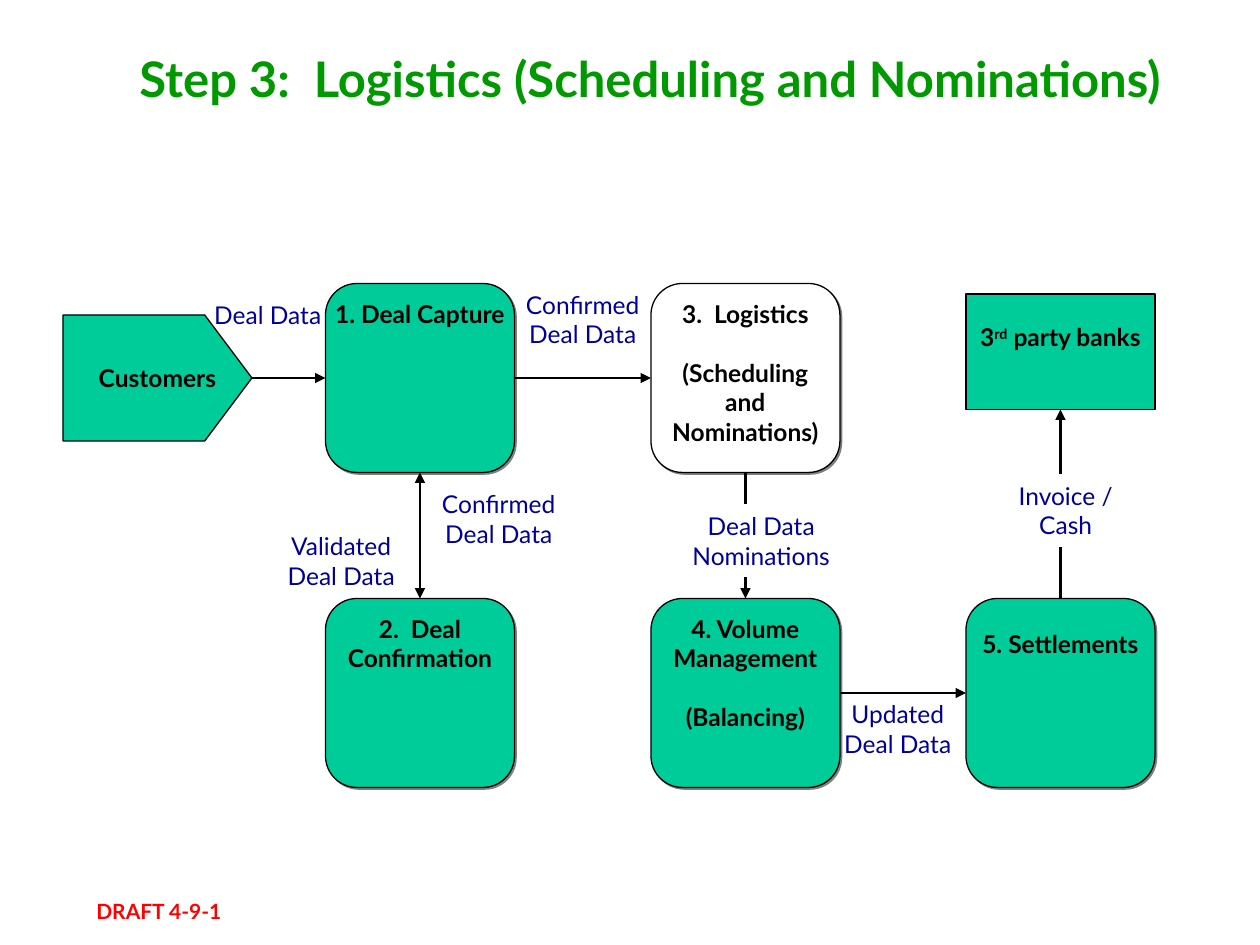
from lxml import etree
from pptx import Presentation
from pptx.dml.color import RGBColor
from pptx.enum.shapes import MSO_CONNECTOR, MSO_SHAPE
from pptx.enum.text import MSO_ANCHOR, PP_ALIGN
from pptx.oxml.ns import qn
from pptx.util import Inches, Pt

ROUNDED = MSO_SHAPE.FLOWCHART_ALTERNATE_PROCESS
PROCESS = MSO_SHAPE.FLOWCHART_PROCESS
RECTANGLE = MSO_SHAPE.RECTANGLE
STRAIGHT = MSO_CONNECTOR.STRAIGHT
TOP, MIDDLE = MSO_ANCHOR.TOP, MSO_ANCHOR.MIDDLE
CENTER, LEFT = PP_ALIGN.CENTER, PP_ALIGN.LEFT
SIDE = {"top": 0, "left": 1, "bottom": 2, "right": 3}

FONT = "Lato"
BLACK, WHITE, GREEN = "000000", "FFFFFF", "00CC99"
LINE_GAP = 16.8  # points, one line of 14 pt text
BOX = 18  # side of a process box, in grid units
COLUMNS = (31, 62, 92)
ROWS = (27, 57)

TITLE_FORMAT = {"name": FONT, "size": Pt(28), "bold": True}
BOX_FORMAT = {"name": FONT, "size": Pt(14), "bold": True}
LABEL_FORMAT = {"name": FONT, "size": Pt(14), "bold": False}
DRAFT_FORMAT = {"name": FONT, "size": Pt(12), "bold": True}

# name: column, row, fill, lines as (text, blank lines above), extra lines above all
PROCESSES = {
    "capture": (0, 0, GREEN, [("1. Deal Capture", 0)], 0),
    "confirmation": (0, 1, GREEN, [("2.  Deal", 0), ("Confirmation", 0)], 0),
    "logistics": (1, 0, WHITE, [("3.  Logistics", 0), ("(Scheduling", 1),
                                ("and", 0), ("Nominations)", 0)], 0),
    "volume": (1, 1, GREEN, [("4. Volume", 0), ("Management", 0),
                             ("(Balancing)", 1)], 0),
    "settlements": (2, 1, GREEN, [("5. Settlements", 0)], 0.5),
}

# text, left, top, width, height, fill, outline
BACK_LABELS = [
    ("Confirmed Deal Data", 48, 27, 15, 6.8, WHITE, None),
    ("Deal Data", 19, 28, 13, 6.8, None, None),
]
FRONT_LABELS = [
    ("Confirmed Deal Data", 40, 46, 15, 6.8, None, None),
    ("Updated Deal Data", 79, 66, 13, 9.6, None, None),
    ("Deal Data Nominations", 63, 48.1, 19, 6.8, WHITE, WHITE),
    ("Invoice / Cash", 95, 45.2, 13, 6.8, WHITE, WHITE),
    ("Validated Deal Data", 26, 50, 13, 9.6, None, None),
]

# start, its side, end, its side, arrowheads
FLOWS = [
    ("capture", "right", "logistics", "left", ["tailEnd"]),
    ("volume", "right", "settlements", "left", ["tailEnd"]),
    ("settlements", "top", "banks", "bottom", ["tailEnd"]),
    ("capture", "bottom", "confirmation", "top", ["headEnd", "tailEnd"]),
    ("logistics", "bottom", "volume", "top", ["tailEnd"]),
]


def grid(units):
    """Length of grid units; the slide is 120 by 90 of them."""
    return Inches(units / 12)


def color(value):
    return RGBColor.from_string(value)


def paint(shape, fill, outline):
    shape.shadow.inherit = False
    if fill:
        shape.fill.solid()
        shape.fill.fore_color.rgb = color(fill)
    else:
        shape.fill.background()
    if outline:
        shape.line.color.rgb = color(outline)
        shape.line.width = Pt(0.75)
    else:
        shape.line.fill.background()


def add_shadow(shape):
    effects = shape._element.spPr.find(qn("a:effectLst"))
    shadow = etree.SubElement(effects, qn("a:outerShdw"), dist=str(Pt(1.4)),
                              dir="2700000", algn="ctr", rotWithShape="0")
    etree.SubElement(shadow, qn("a:srgbClr"), val="808080")


def set_frame(shape, anchor, wrap):
    frame = shape.text_frame
    frame.word_wrap = wrap
    frame.vertical_anchor = anchor
    frame.margin_left = frame.margin_right = Inches(0.1)
    frame.margin_top = frame.margin_bottom = Inches(0.05)
    return frame


def add_run(paragraph, text, text_color, text_format):
    run = paragraph.add_run()
    run.text = text
    for name, value in text_format.items():
        setattr(run.font, name, value)
    run.font.color.rgb = color(text_color)
    return run


def add_text(slide, text, left, top, width, height, text_color, text_format, align):
    box = slide.shapes.add_textbox(grid(left), grid(top), grid(width), grid(height))
    paragraph = set_frame(box, TOP, False).paragraphs[0]
    paragraph.alignment = align
    add_run(paragraph, text, text_color, text_format)


def add_label(slide, text, left, top, width, height, fill, outline):
    place = [grid(units) for units in (left, top, width, height)]
    if fill:
        label = slide.shapes.add_shape(RECTANGLE, *place)
        paint(label, fill, outline)
    else:
        label = slide.shapes.add_textbox(*place)
    paragraph = set_frame(label, TOP, True).paragraphs[0]
    paragraph.alignment = CENTER
    add_run(paragraph, text, "000099", LABEL_FORMAT)


def add_process(slide, column, row, fill, lines, lines_above):
    box = slide.shapes.add_shape(ROUNDED, grid(COLUMNS[column]), grid(ROWS[row]),
                                 grid(BOX), grid(BOX))
    paint(box, fill, BLACK)
    add_shadow(box)
    frame = set_frame(box, TOP, False)
    frame.margin_top += Pt(LINE_GAP * lines_above)
    for index, (text, blank_lines) in enumerate(lines):
        paragraph = frame.add_paragraph() if index else frame.paragraphs[0]
        paragraph.alignment = CENTER
        if blank_lines:
            paragraph.space_before = Pt(LINE_GAP * blank_lines)
        add_run(paragraph, text, BLACK, BOX_FORMAT)
    return box


def add_customers(slide):
    builder = slide.shapes.build_freeform(grid(6), grid(30))
    corners = [(19.5, 30), (24, 36), (19.5, 42), (6, 42)]
    builder.add_line_segments([(grid(x), grid(y)) for x, y in corners], close=True)
    shape = builder.convert_to_shape()
    paint(shape, GREEN, BLACK)
    paragraph = set_frame(shape, MIDDLE, False).paragraphs[0]
    paragraph.alignment = CENTER
    add_run(paragraph, "Customers", BLACK, BOX_FORMAT)


def add_banks(slide):
    banks = slide.shapes.add_shape(PROCESS, grid(COLUMNS[2]), grid(28),
                                   grid(BOX), grid(11))
    paint(banks, GREEN, BLACK)
    frame = set_frame(banks, MIDDLE, False)
    frame.margin_bottom += Pt(LINE_GAP)
    paragraph = frame.paragraphs[0]
    paragraph.alignment = CENTER
    add_run(paragraph, "3", BLACK, BOX_FORMAT)
    ordinal = add_run(paragraph, "rd", BLACK, BOX_FORMAT)
    ordinal._r.get_or_add_rPr().set("baseline", "30000")
    add_run(paragraph, " party banks", BLACK, BOX_FORMAT)
    return banks


def add_arrow(slide, heads, end, end_side, start=None, start_side=None, origin=(0, 0)):
    """Arrow to a box side, from another box side or from a grid point."""
    x, y = (grid(units) for units in origin)
    arrow = slide.shapes.add_connector(STRAIGHT, x, y, x, y)
    if start is not None:
        arrow.begin_connect(start, SIDE[start_side])
    arrow.end_connect(end, SIDE[end_side])
    arrow.line.color.rgb = color(BLACK)
    arrow.line.width = Pt(1.5)
    line = arrow.line._get_or_add_ln()
    for head in heads:
        etree.SubElement(line, qn(f"a:{head}"), type="triangle")
    etree.SubElement(arrow._element.spPr, qn("a:effectLst"))


def main():
    presentation = Presentation()
    presentation.slide_width, presentation.slide_height = grid(120), grid(90)
    slide = presentation.slides.add_slide(presentation.slide_layouts[6])

    add_text(slide, "DRAFT 4-9-1", 8, 85, 24, 3.6, "FF0000", DRAFT_FORMAT, LEFT)
    add_text(slide, "Step 3:  Logistics (Scheduling and Nominations)",
             5.8, 4, 112.2, 6.8, "009900", TITLE_FORMAT, CENTER)
    for label in BACK_LABELS:
        add_label(slide, *label)
    boxes = {name: add_process(slide, *process) for name, process in PROCESSES.items()}
    add_customers(slide)
    boxes["banks"] = add_banks(slide)
    add_arrow(slide, ["tailEnd"], boxes["capture"], "left", origin=(24, 36))
    for start, start_side, end, end_side, heads in FLOWS:
        add_arrow(slide, heads, boxes[end], end_side, boxes[start], start_side)
    for label in FRONT_LABELS:
        add_label(slide, *label)
    presentation.save("out.pptx")


if __name__ == "__main__":
    main()
